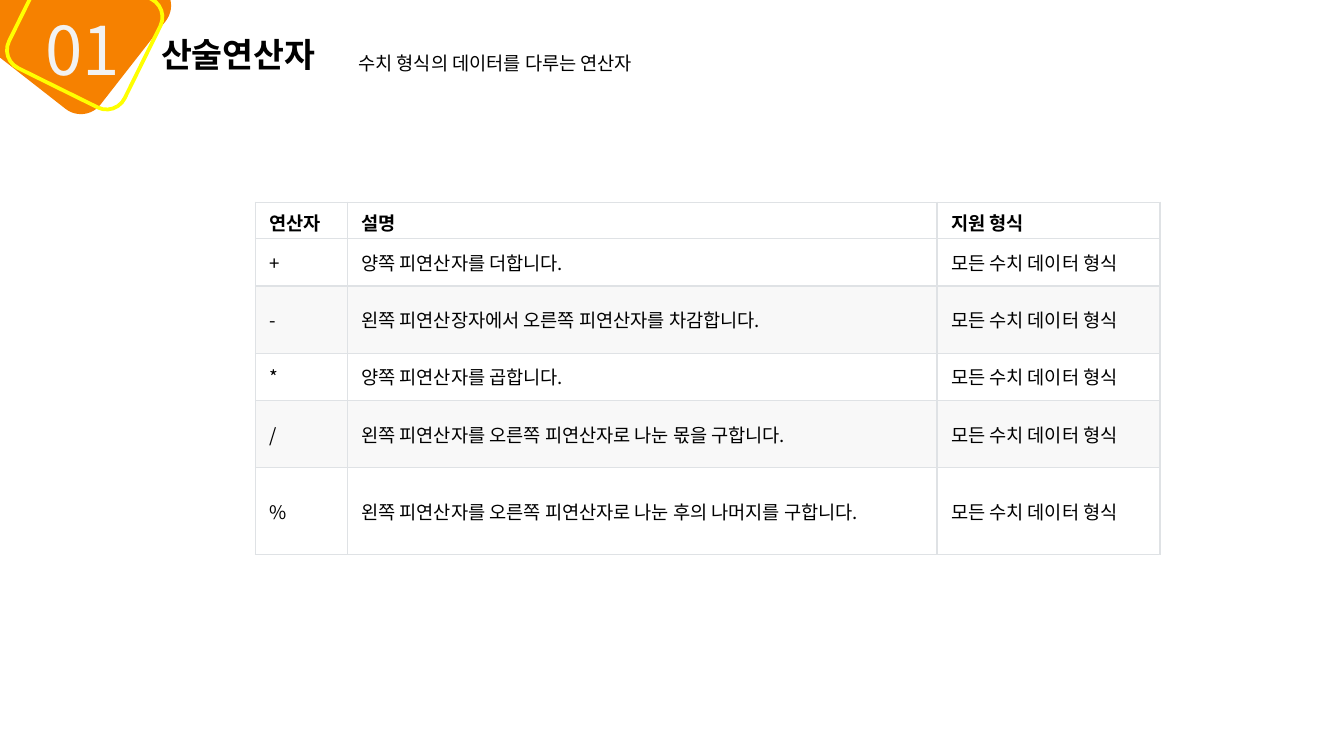
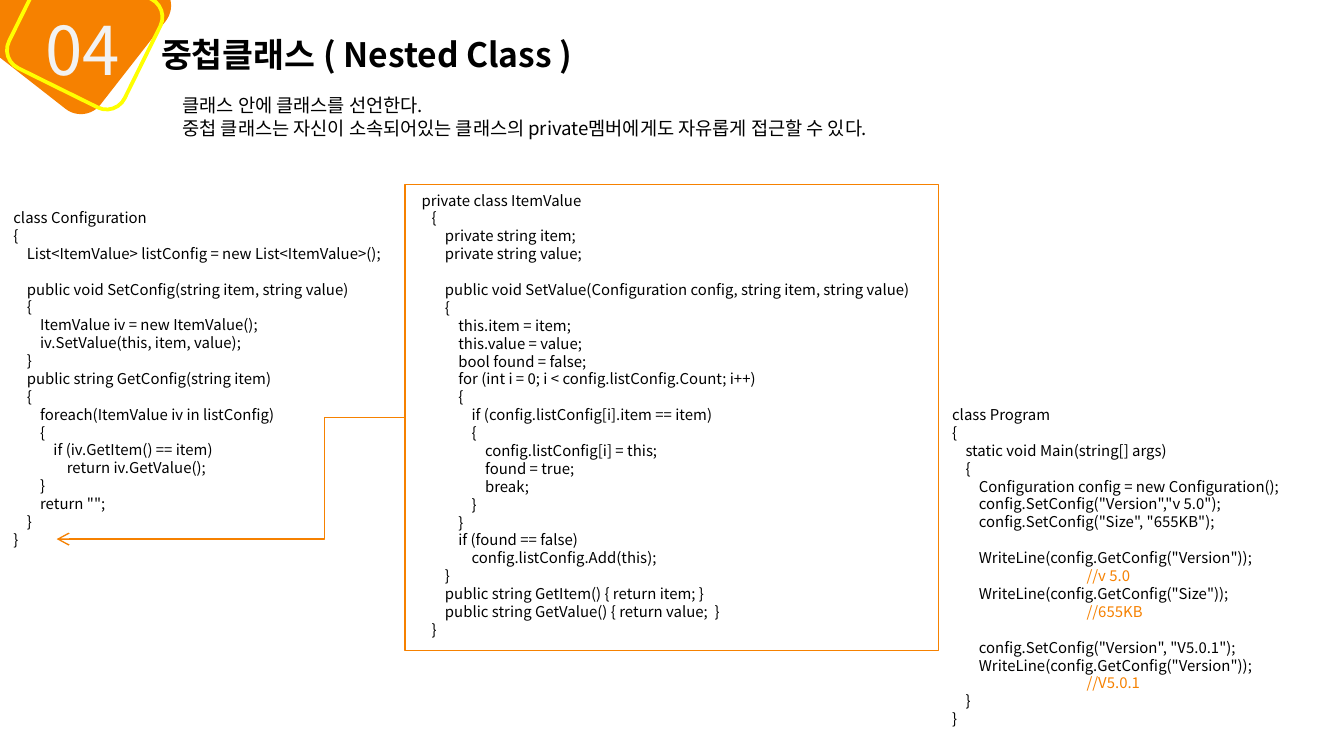
from dataclasses import dataclass

from lxml.etree import SubElement
from pptx import Presentation
from pptx.dml.color import RGBColor
from pptx.enum.shapes import MSO_CONNECTOR, MSO_SHAPE
from pptx.enum.text import MSO_ANCHOR, MSO_AUTO_SIZE, PP_ALIGN
from pptx.oxml.ns import qn
from pptx.slide import Slide
from pptx.util import Pt

FONT = "Noto Sans CJK KR"
COLORS = {
    "paper": "FFFFFF",
    "ink": "000000",
    "accent": "F68100",
    "ring": "FFFF00",
    "number": "F2F2F2",
    "band": "F8F8F8",
    "grid": "DFE2E5",
}
SPACE = 1.79  # width of one code space
LINE = 9.6  # height of one code line
TAB = 72


@dataclass
class Box:
    left: float
    top: float
    width: float
    height: float

    def spans(self) -> tuple:
        return Pt(self.left), Pt(self.top), Pt(self.width), Pt(self.height)


@dataclass
class Tile:
    box: Box
    turn: float
    fill: str = ""
    line: str = ""


@dataclass
class Label:
    box: Box
    text: str
    size: float = 10
    color: str = "ink"
    bold: bool = False
    wrap: bool = False


@dataclass
class Code:
    box: Box
    text: str
    wrap: bool = False
    frame: bool = False


TILES = [
    Tile(Box(-1.9, -31, 83.5, 80), 308, fill="accent"),
    Tile(Box(13, -16.6, 64.8, 69.1), 296.3, line="ring"),
]

KIND = "모든 수치 데이터 형식"
HEAD = ("연산자", "설명", "지원 형식")
RULES = [
    ("+", "양쪽 피연산자를 더합니다."),
    ("-", "왼쪽 피연산장자에서 오른쪽 피연산자를 차감합니다."),
    ("*", "양쪽 피연산자를 곱합니다."),
    ("/", "왼쪽 피연산자를 오른쪽 피연산자로 나눈 몫을 구합니다."),
    ("%", "왼쪽 피연산자를 오른쪽 피연산자로 나눈 후의 나머지를 구합니다."),
]
GRID = Box(136.9, 108.3, 484.6, 188.6)
WIDTHS = (49.2, 315.9, 119.5)
HEIGHTS = (17.6, 25.4, 36, 25.4, 36, 46.4)

CONFIG = """\
class Configuration
{
    List<ItemValue> listConfig = new List<ItemValue>();

    public void SetConfig(string item, string value)
    {
        ItemValue iv = new ItemValue();
        iv.SetValue(this, item, value);
    }
    public string GetConfig(string item)
    {
        foreach(ItemValue iv in listConfig)
        {
            if (iv.GetItem() == item)
                return iv.GetValue();
        }
        return "";
    }
}"""

PROGRAM = """\
class Program
{
    static void Main(string[] args)
    {
        Configuration config = new Configuration();
        config.SetConfig("Version","v 5.0");
        config.SetConfig("Size", "655KB");

        WriteLine(config.GetConfig("Version"));
//v 5.0
        WriteLine(config.GetConfig("Size"));
//655KB

        config.SetConfig("Version", "V5.0.1");
        WriteLine(config.GetConfig("Version"));
//V5.0.1
    }
}"""

ITEM = """\
 private class ItemValue
    {
        private string item;
        private string value;

        public void SetValue(Configuration config, string item, string value)
        {
            this.item = item;
            this.value = value;
            bool found = false;
            for (int i = 0; i < config.listConfig.Count; i++)
            {
                if (config.listConfig[i].item == item)
                {
                    config.listConfig[i] = this;
                    found = true;
                    break;
                }
            }
            if (found == false)
                config.listConfig.Add(this);
        }
        public string GetItem() { return item; }
        public string GetValue() { return value;  }
    }"""

CODES = [
    Code(Box(0.1, 108.2, 232.6, 191.5), CONFIG, wrap=True),
    Code(Box(503, 213.8, 232.6, 191.5), PROGRAM),
    Code(Box(217, 98.9, 285.8, 249.8), ITEM, frame=True),
]


def paint(name: str) -> RGBColor:
    return RGBColor.from_string(COLORS[name])


def style(para, size: float, color: str = "ink", bold: bool = False) -> None:
    """Format every run of a paragraph."""
    for run in para.runs:
        font = run.font
        font.name, font.size, font.bold = FONT, Pt(size), bold
        font.color.rgb = paint(color)


def add_tile(slide: Slide, tile: Tile) -> None:
    shape = slide.shapes.add_shape(MSO_SHAPE.ROUNDED_RECTANGLE, *tile.box.spans())
    shape.shadow.inherit = False
    shape.rotation = tile.turn
    if tile.fill:
        shape.fill.solid()
        shape.fill.fore_color.rgb = paint(tile.fill)
    else:
        shape.fill.background()
    if tile.line:
        shape.line.color.rgb = paint(tile.line)
        shape.line.width = Pt(2)
    else:
        shape.line.fill.background()


def add_label(slide: Slide, label: Label) -> None:
    frame = slide.shapes.add_textbox(*label.box.spans()).text_frame
    frame.word_wrap = label.wrap
    frame.auto_size = MSO_AUTO_SIZE.SHAPE_TO_FIT_TEXT
    frame.text = label.text
    for para in frame.paragraphs:
        style(para, label.size, label.color, label.bold)


def add_code(slide: Slide, code: Code) -> None:
    """Draw code; leading spaces turn into indents, empty lines into spacing."""
    if code.frame:
        shape = slide.shapes.add_shape(MSO_SHAPE.RECTANGLE, *code.box.spans())
        shape.shadow.inherit = False
        shape.fill.background()
        shape.line.color.rgb = paint("accent")
        shape.line.width = Pt(0.75)
    else:
        shape = slide.shapes.add_textbox(*code.box.spans())
    frame = shape.text_frame
    frame.word_wrap = code.wrap
    frame.vertical_anchor = MSO_ANCHOR.TOP
    lines = code.text.split("\n")
    frame.text = "\n".join(line.strip() for line in lines if line)
    paras = iter(frame.paragraphs)
    gap = 0
    for line in lines:
        if not line:
            gap += LINE
            continue
        para = next(paras)
        note = line.startswith("//")
        depth = TAB if note else SPACE * (len(line) - len(line.lstrip()))
        para.alignment = PP_ALIGN.LEFT
        para.space_before = Pt(gap)
        para._p.get_or_add_pPr().set("marL", str(Pt(depth)))
        style(para, 8, "accent" if note else "ink")
        gap = 0


def add_edges(cell) -> None:
    props = cell._tc.get_or_add_tcPr()
    for spot, side in enumerate(("lnL", "lnR", "lnT", "lnB")):
        edge = props.makeelement(qn(f"a:{side}"), {"w": str(Pt(0.75))})
        fill = SubElement(edge, qn("a:solidFill"))
        SubElement(fill, qn("a:srgbClr")).set("val", COLORS["grid"])
        props.insert(spot, edge)


def add_grid(slide: Slide) -> None:
    rows = [HEAD] + [(*rule, KIND) for rule in RULES]
    table = slide.shapes.add_table(len(rows), len(HEAD), *GRID.spans()).table
    table.horz_banding = False
    for column, width in zip(table.columns, WIDTHS):
        column.width = Pt(width)
    for row, height in zip(table.rows, HEIGHTS):
        row.height = Pt(height)
    for y, row in enumerate(rows):
        for x, text in enumerate(row):
            cell = table.cell(y, x)
            cell.text_frame.text = text
            style(cell.text_frame.paragraphs[0], 10, bold=y == 0)
            cell.vertical_anchor = MSO_ANCHOR.MIDDLE
            cell.margin_left = cell.margin_right = Pt(7.5)
            cell.margin_top = cell.margin_bottom = Pt(3.75)
            cell.fill.solid()
            cell.fill.fore_color.rgb = paint("band" if y in (2, 4) else "paper")
            add_edges(cell)


def add_arrow(slide: Slide) -> None:
    """Draw the bent arrow from the inner class to the end of the outer one."""
    ends = Pt(217), Pt(223.8), Pt(30.4), Pt(288.8)
    arrow = slide.shapes.add_connector(MSO_CONNECTOR.ELBOW, *ends)
    arrow.line.color.rgb = paint("accent")
    arrow.line.width = Pt(0.75)
    props = arrow._element.spPr
    SubElement(props, qn("a:effectLst"))
    SubElement(arrow.line._get_or_add_ln(), qn("a:tailEnd")).set("type", "arrow")
    bend = SubElement(props.find(qn("a:prstGeom")).get_or_add_avLst(), qn("a:gd"))
    bend.set("name", "adj1")
    bend.set("fmla", "val 23100")


def add_page(deck, number: str, title: str, width: float) -> Slide:
    """Add a blank slide with the numbered badge and a title of given width."""
    slide = deck.slides.add_slide(deck.slide_layouts[6])
    for tile in TILES:
        add_tile(slide, tile)
    add_label(slide, Label(Box(17.3, 0.7, 62.6, 51), number, 36, "number", wrap=True))
    add_label(slide, Label(Box(79.2, 14.4, width, 29), title, 18, bold=True))
    return slide


def main() -> None:
    deck = Presentation()
    deck.slide_width, deck.slide_height = Pt(720), Pt(405)

    first = add_page(deck, "01", "산술연산자", 105)
    add_grid(first)
    add_label(first, Label(Box(185, 24.5, 180, 19.4), "수치 형식의 데이터를 다루는 연산자"))

    second = add_page(deck, "04", "중첩클래스 ( Nested Class )", 249)
    for code in CODES:
        add_code(second, code)
    add_arrow(second)
    about = (
        "클래스 안에 클래스를 선언한다.\n"
        "중첩 클래스는 자신이 소속되어있는 클래스의 private멤버에게도 자유롭게 접근할 수 있다."
    )
    add_label(second, Label(Box(90.7, 46.8, 423.4, 31.7), about))

    deck.save("out.pptx")


if __name__ == "__main__":
    main()
